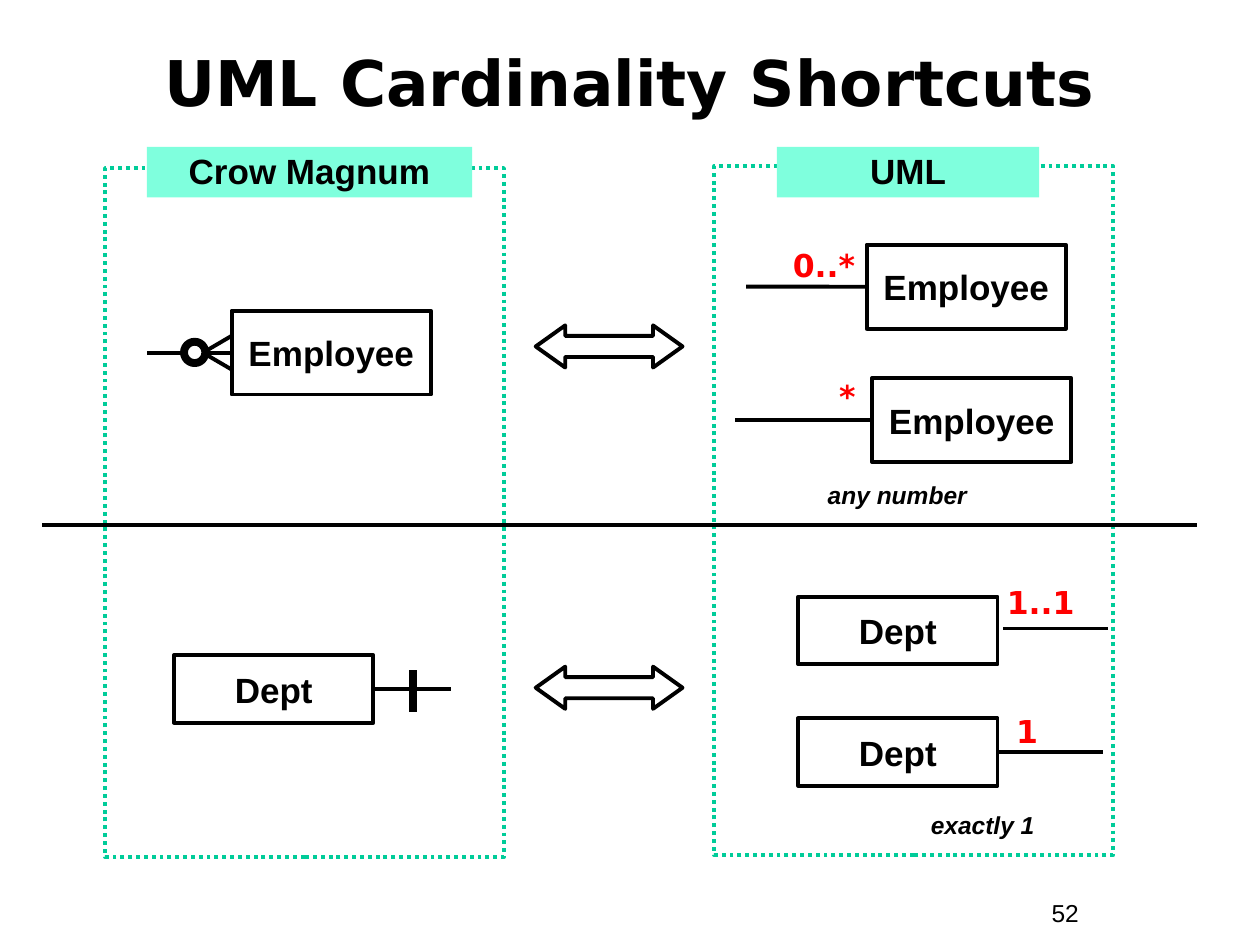
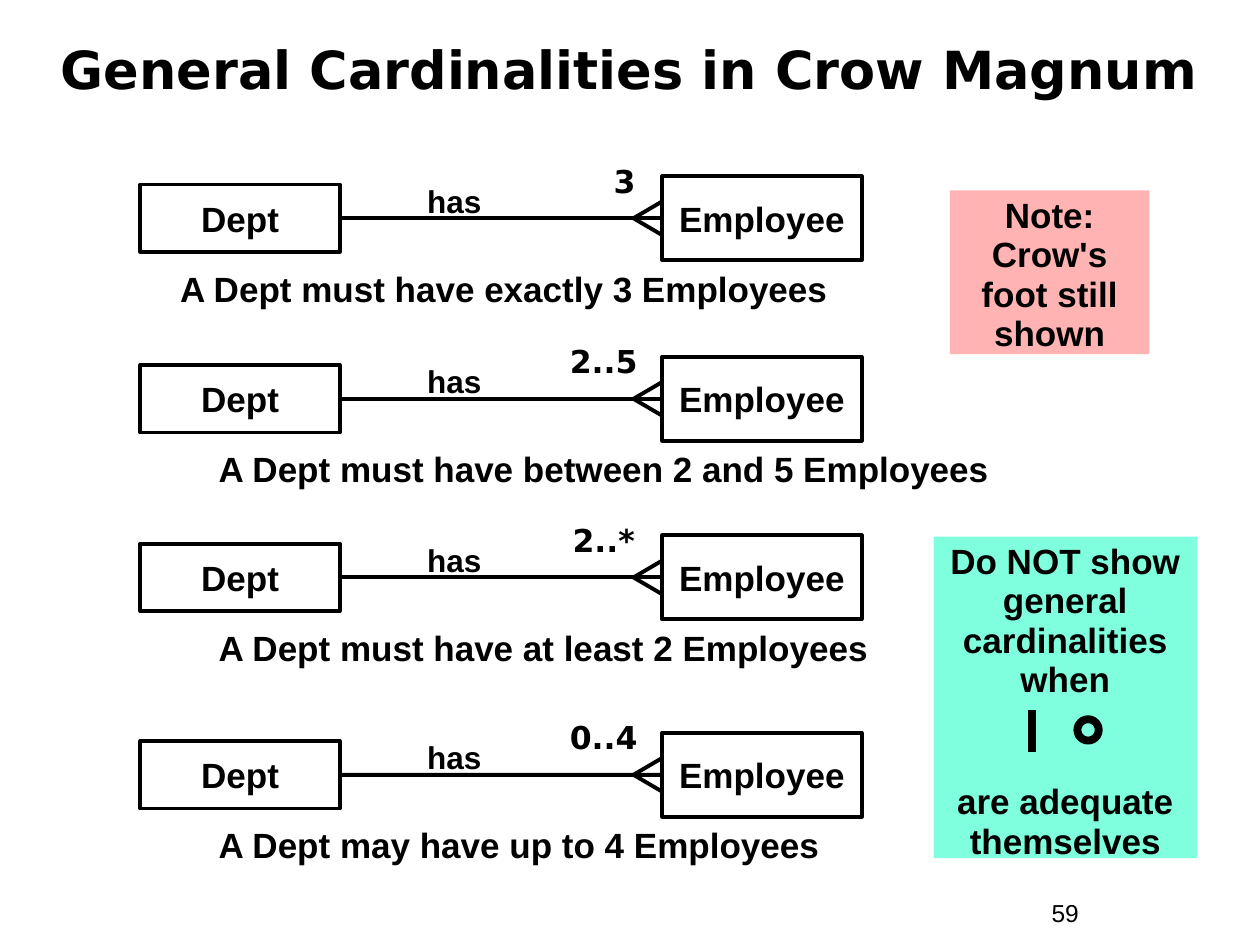
from pptx import Presentation
from pptx.dml.color import RGBColor as Rgb
from pptx.enum.dml import MSO_LINE as Dash
from pptx.enum.shapes import MSO_CONNECTOR as Conn, MSO_SHAPE as Form
from pptx.enum.text import MSO_ANCHOR as Anchor, PP_ALIGN as Align
from pptx.oxml.ns import qn
from pptx.util import Cm, Pt
from lxml.etree import SubElement as Sub

HUES = {"ink": "000000", "red": "FF0000", "green": "00CC99",
        "mint": "7FFFDD", "pink": "FFB3B3", "white": "FFFFFF"}
SANS, WIDE = "Arial", "DejaVu Sans"
THIN, THICK = 2.25, 4.5
LEFT, RIGHT = 1, 3                      # connection sites of a box
TALL = {"Employee": 1.69, "Dept": 1.36}  # box height by entity


def hue(name):
    return Rgb.from_string(HUES[name])


class Deck:
    def __init__(self):
        self.show = Presentation()
        self.show.slide_width, self.show.slide_height = Cm(25.4), Cm(19.05)
        self.slide = None

    def page(self, title, size, top, high, num):
        """Start a slide with its title and page number."""
        self.slide = self.show.slides.add_slide(self.show.slide_layouts[6])
        self.text(num, 20.95, 17.98, 2.34, 0.86, 14, bold=False, align=Align.LEFT)
        head = self.text(title, 0.84, top, 23.7, high, size, WIDE)
        head.text_frame.vertical_anchor = Anchor.MIDDLE

    def style(self, shape, words, size, font=SANS, color="ink", bold=True,
              italic=False, align=Align.CENTER, lead=None, gap=0):
        """Write one paragraph per item, with a gap between them."""
        frame = shape.text_frame
        frame.word_wrap = True
        frame.vertical_anchor = Anchor.TOP
        frame.text = words
        for i, para in enumerate(frame.paragraphs):
            para.alignment = align
            if lead:
                para.line_spacing = lead
            if i:
                para.space_before = Pt(gap)
            for run in para.runs:
                face = run.font
                face.name, face.size = font, Pt(size)
                face.bold, face.italic = bold, italic
                face.color.rgb = hue(color)

    def text(self, words, x, y, w, h, size, font=SANS, **look):
        box = self.slide.shapes.add_textbox(Cm(x), Cm(y), Cm(w), Cm(h))
        self.style(box, words, size, font, **look)
        return box

    def shape(self, form, x, y, w, h, fill=None, line=None, width=THIN):
        item = self.slide.shapes.add_shape(form, Cm(x), Cm(y), Cm(w), Cm(h))
        item.shadow.inherit = False
        if fill:
            item.fill.solid()
            item.fill.fore_color.rgb = hue(fill)
        else:
            item.fill.background()
        if line:
            item.line.color.rgb = hue(line)
            item.line.width = Pt(width)
        else:
            item.line.fill.background()
        return item

    def frame(self, x, y):
        area = self.shape(Form.RECTANGLE, x, y, 8.04, 13.89, "white", "green")
        area.line.dash_style = Dash.ROUND_DOT

    def panel(self, words, x, y, w, h, fill, gap=0):
        item = self.shape(Form.RECTANGLE, x, y, w, h, fill)
        self.style(item, words, 20, lead=0.94, gap=gap)

    def box(self, name, x, mid):
        """Entity box, placed by its left edge and vertical middle."""
        high = TALL[name]
        item = self.shape(Form.RECTANGLE, x, mid - high / 2, 4.02, high, line="ink")
        self.style(item, name, 20)
        item.text_frame.word_wrap = False
        item.text_frame.vertical_anchor = Anchor.MIDDLE
        return item

    def line(self, x1, y1, x2, y2, width=THIN):
        item = self.slide.shapes.add_connector(
            Conn.STRAIGHT, Cm(x1), Cm(y1), Cm(x2), Cm(y2))
        item.line.color.rgb = hue("ink")
        item.line.width = Pt(width)
        Sub(item._element.spPr, qn("a:effectLst"))
        return item

    def lead(self, box, side, x):
        """Level line from the middle of a box side to x."""
        mid = box.top.cm + box.height.cm / 2
        item = self.line(box.left.cm, mid, x, mid)
        item.begin_connect(box, side)
        return item

    def foot(self, box):
        """Outer toes of a crow's foot on the left side of a box."""
        x, mid = box.left.cm, box.top.cm + box.height.cm / 2
        for rise in (-0.34, 0.34):
            self.line(x - 0.58, mid, x, mid + rise)

    def ring(self, x, y):
        self.shape(Form.OVAL, x, y, 0.43, 0.43, line="ink", width=THICK)

    def bar(self, x, y):
        self.line(x, y, x, y + 0.85, THICK)

    def count(self, words, x, y, w, color="ink"):
        self.text(words, x, y, w, 1.02, 18, WIDE, color=color)


def shortcuts(deck):
    deck.page("UML Cardinality Shortcuts", 36, 0.46, 2.34, "52")
    deck.frame(14.4, 3.35)
    deck.frame(2.12, 3.39)
    for y in (6.56, 13.44):
        swap = deck.shape(Form.LEFT_RIGHT_ARROW, 10.8, y, 2.96, 0.85, line="ink")
        swap.adjustments[0], swap.adjustments[1] = 0.5, 0.7

    # UML side
    for x, mid, start in ((17.47, 5.78, 15.04), (17.58, 8.47, 14.82)):
        deck.lead(deck.box("Employee", x, mid), LEFT, start)
    deck.box("Dept", 16.09, 12.71)
    deck.line(20.22, 12.67, 22.34, 12.67)
    deck.lead(deck.box("Dept", 16.09, 15.16), RIGHT, 22.23)
    for words, x, y, w in (("0..*", 15.24, 4.83, 2.74), ("*", 16.08, 7.47, 2.01),
                           ("1..1", 19.94, 11.63, 2.08), ("1", 20.02, 14.22, 1.37)):
        deck.count(words, x, y, w, "red")

    # Crow Magnum side
    many = deck.box("Employee", 4.67, 7.11)
    deck.ring(3.71, 6.89)
    deck.foot(many)
    deck.lead(many, LEFT, 4.14)
    deck.line(2.97, 7.11, 3.71, 7.11)
    deck.lead(deck.box("Dept", 3.51, 13.89), RIGHT, 9.1)
    deck.bar(8.33, 13.51)

    # Headings, divider and remarks
    deck.panel("Crow Magnum", 2.96, 2.96, 6.56, 1.02, "mint")
    deck.panel("UML", 15.66, 2.96, 5.29, 1.02, "mint")
    deck.line(0.85, 10.58, 24.13, 10.58)
    for words, x, y in (("any number", 16.29, 9.6), ("exactly 1", 18.01, 16.25)):
        deck.text(words, x, y, 3.6, 0.79, 14, italic=True, lead=0.94)


def general(deck):
    deck.page("General Cardinalities in Crow Magnum", 30, 0.43, 1.9, "59")

    # One relation per row: middle, count, its width, caption, caption left
    rows = (
        (4.4, "3", 1.9, "A Dept must have exactly 3 Employees", 3.38),
        (8.04, "2..5", 2.74, "A Dept must have between 2 and 5 Employees", 4.16),
        (11.64, "2..*", 2.74, "A Dept must have at least 2 Employees", 4.16),
        (15.62, "0..4", 2.74, "A Dept may have up to 4 Employees", 4.16),
    )
    for mid, many, wide, words, x in rows:
        dept = deck.box("Dept", 2.83, mid)
        staff = deck.box("Employee", 13.35, mid)
        deck.lead(dept, RIGHT, 13.35).end_connect(staff, LEFT)
        deck.foot(staff)
        deck.text("has", 7.04, mid - 0.86, 4.24, 1.02, 18)
        deck.count(many, 13.54 - wide, mid - 1.26, wide)
        deck.text(words, x, mid + 0.86, 18, 1.12, 20, align=Align.LEFT)

    # Notes
    deck.panel("Note: Crow's foot still shown", 19.15, 3.84, 4.02, 3.3, "pink")
    deck.panel("Do NOT show general cardinalities when\nare adequate\vthemselves",
               18.82, 10.82, 5.31, 6.48, "mint", gap=47)
    deck.ring(21.72, 14.5)
    deck.bar(20.8, 14.31)


def main():
    deck = Deck()
    shortcuts(deck)
    general(deck)
    deck.show.save("out.pptx")


if __name__ == "__main__":
    main()
